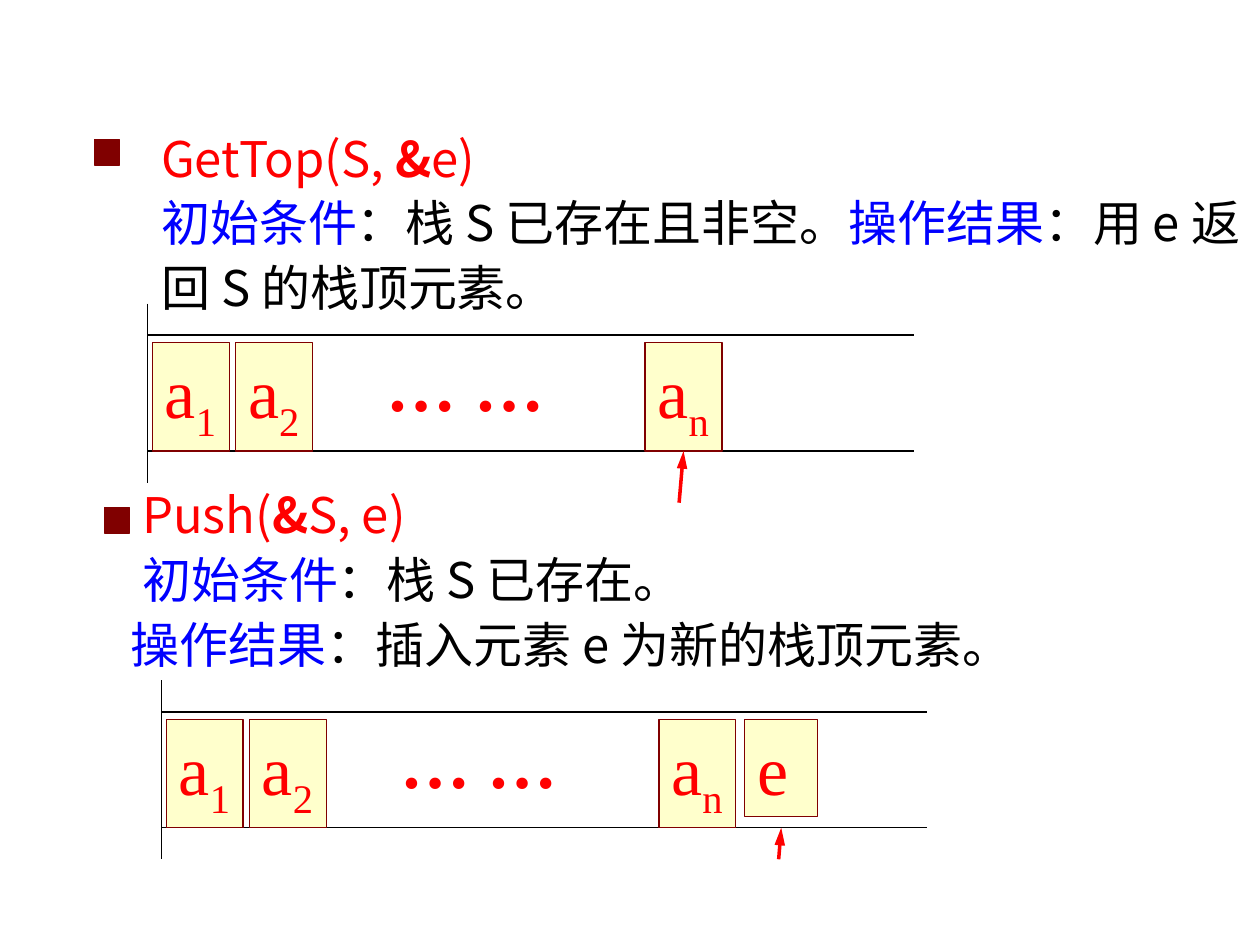
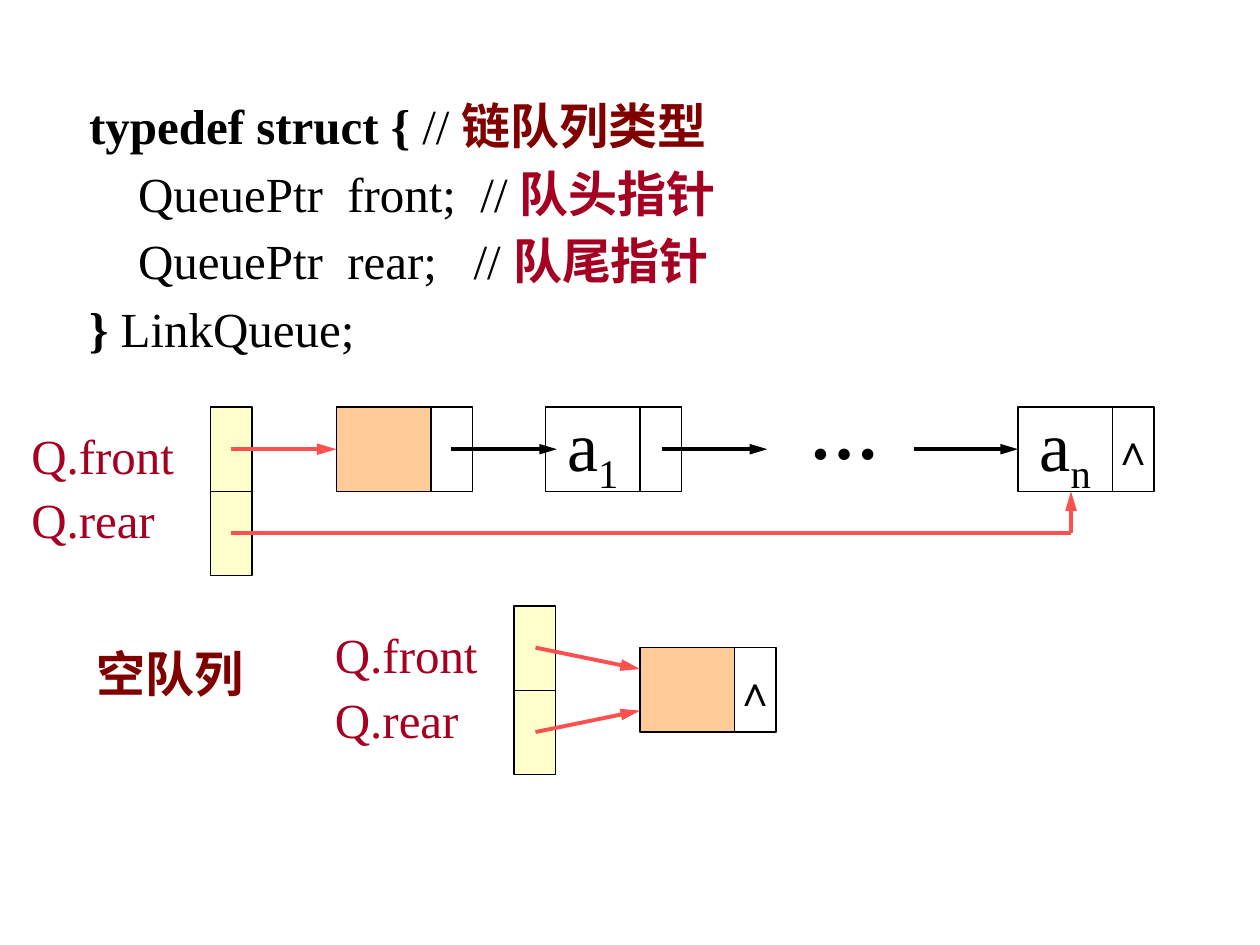
from lxml import etree
from pptx import Presentation
from pptx.dml.color import RGBColor
from pptx.enum.shapes import MSO_CONNECTOR, MSO_SHAPE
from pptx.enum.text import MSO_ANCHOR, MSO_AUTO_SIZE, PP_ALIGN
from pptx.oxml.ns import qn
from pptx.util import Inches, Pt

RECT = MSO_SHAPE.RECTANGLE
STRAIGHT = MSO_CONNECTOR.STRAIGHT
TOP, MIDDLE, BOTTOM = MSO_ANCHOR.TOP, MSO_ANCHOR.MIDDLE, MSO_ANCHOR.BOTTOM
LEFT, CENTER = PP_ALIGN.LEFT, PP_ALIGN.CENTER
FIXED, GROW = MSO_AUTO_SIZE.NONE, MSO_AUTO_SIZE.SHAPE_TO_FIT_TEXT
TITLE_ONLY, BLANK = 5, 6

SANS, SERIF = "Noto Sans CJK SC", "Times New Roman"
BLACK, RED, BLUE = "000000", "FF0000", "0000FF"
MAROON, CRIMSON, CORAL = "800000", "A50021", "FF5050"
CREAM, PEACH = "FFFFCC", "FFCC99"

# Link field and data field of a queue node
LINK_WIDTH, DATA_WIDTH, NODE_HEIGHT = 0.33, 0.75, 0.67


def color(value):
    return RGBColor.from_string(value)


def add_span(para, text, hue, size=28, font=SERIF, bold=False, subscript=False):
    span = para.add_run()
    span.text = text
    span.font.name, span.font.size = font, Pt(size)
    span.font.bold, span.font.color.rgb = bold, color(hue)
    properties = span._r.get_or_add_rPr()
    etree.SubElement(properties, qn("a:ea")).set("typeface", SANS)
    if subscript:
        properties.set("baseline", "-25000")


def set_frame(shape, anchor=TOP, wrap=False, fit=GROW):
    frame = shape.text_frame
    frame.word_wrap, frame.auto_size = wrap, fit
    frame.vertical_anchor = anchor
    return frame


def add_lines(frame, lines, spacing=1.0, **style):
    """Write one paragraph per line; a line is a list of (text, hue, bold)."""
    for index, line in enumerate(lines):
        para = frame.add_paragraph() if index else frame.paragraphs[0]
        para.alignment, para.line_spacing = LEFT, spacing
        for text, hue, bold in line:
            add_span(para, text, hue, bold=bold, **style)


def add_label(page, left, top, width, height, lines, spacing=1.0, wrap=False, **style):
    box = page.shapes.add_textbox(*map(Inches, (left, top, width, height)))
    add_lines(set_frame(box, wrap=wrap), lines, spacing, **style)


def add_box(page, left, top, width, height, fill=None, line=BLACK):
    box = page.shapes.add_shape(RECT, *map(Inches, (left, top, width, height)))
    box.shadow.inherit = False
    if fill:
        box.fill.solid()
        box.fill.fore_color.rgb = color(fill)
    else:
        box.fill.background()
    box.line.color.rgb, box.line.width = color(line), Pt(0.75)
    return box


def add_line(page, start, end, hue=BLACK, width=0.75, arrow=False, target=None):
    """Draw a line; target is a (shape, side) to join its end to."""
    line = page.shapes.add_connector(STRAIGHT, *map(Inches, (*start, *end)))
    if target:
        line.end_connect(*target)
    line.line.color.rgb, line.line.width = color(hue), Pt(width)
    if arrow:
        head = etree.SubElement(line.line._get_or_add_ln(), qn("a:tailEnd"))
        head.set("type", "triangle")
        head.set("len", "lg")
    etree.SubElement(line._element.spPr, qn("a:effectLst"))


def write_symbol(shape, letter, index="", hue=BLACK, size=40, centered=False):
    """Write a letter with an optional subscript into a cell."""
    frame = set_frame(shape, MIDDLE, fit=FIXED) if centered else set_frame(shape)
    para = frame.paragraphs[0]
    para.alignment = CENTER if centered else LEFT
    add_span(para, letter, hue, size)
    if index:
        add_span(para, index, hue, size, subscript=True)


# Stack slide
def add_stack(page, left, top):
    """Draw the open-ended stack and return its last cell."""
    add_line(page, (left, top), (left, top + 1.42))
    for rail in (0.25, 1.17):
        add_line(page, (left, top + rail), (left + 6.08, top + rail))
    for offset, index in ((0.04, "1"), (0.7, "2"), (3.95, "n")):
        cell = add_box(page, left + offset, top + 0.31, 0.61, 0.86, CREAM, MAROON)
        write_symbol(cell, "a", index, RED)
    add_label(page, left + 1.8, top + 0.25, 1.45, 0.77, [[("… …", RED, True)]], size=40)
    return cell


def add_bullet(page, left, top):
    add_box(page, left, top, 0.2, 0.2, MAROON, MAROON)


def add_get_top(page, left, top):
    title = page.shapes.title
    title.left, title.top = Inches(left), Inches(top)
    title.width, title.height = Inches(8.82), Inches(1.34)
    frame = set_frame(title, MIDDLE, wrap=True, fit=FIXED)
    para = frame.paragraphs[0]
    para.alignment, para.line_spacing = LEFT, 1.1
    add_span(para, "GetTop(S, ", RED, font=SANS)
    add_span(para, "&", RED, font=SANS, bold=True)
    add_span(para, "e)", RED, font=SANS)
    para.add_line_break()
    for text, hue in (("初始条件", BLUE), ("：栈 S 已存在且非空。", BLACK),
                      ("操作结果", BLUE), ("：用 e 返回 S 的栈顶元素。", BLACK)):
        add_span(para, text, hue, font=SANS)
    add_bullet(page, left - 0.43, top + 0.04)
    last = add_stack(page, left - 0.01, top + 1.34)
    add_line(page, (left + 4.21, top + 2.92), (left + 4.24, top + 2.51),
             RED, 2, True, (last, 2))


def add_push(page, left, top):
    box = page.shapes.add_textbox(*map(Inches, (left, top, 8.15, 1.65)))
    frame = set_frame(box, BOTTOM, wrap=True, fit=FIXED)
    add_lines(frame, [
        [("Push(", RED, False), ("&", RED, True), ("S, e)", RED, False)],
        [("初始条件", BLUE, False), ("：栈 S 已存在。", BLACK, False)],
        [("操作结果", BLUE, False), ("：插入元素 e 为新的栈顶元素。", BLACK, False)],
    ], 1.1, font=SANS)
    for para in frame.paragraphs[:2]:
        para._p.get_or_add_pPr().set("marL", str(Inches(0.09)))
    stack_left, stack_top = left + 0.34, top + 1.66
    add_stack(page, stack_left, stack_top)
    pushed = add_box(page, stack_left + 4.63, stack_top + 0.31, 0.58, 0.77, CREAM, MAROON)
    write_symbol(pushed, "e", hue=RED)
    add_line(page, (stack_left + 4.9, stack_top + 1.42),
             (stack_left + 4.92, stack_top + 1.17), RED, 2, True)
    add_bullet(page, left - 0.11, top + 0.29)


def build_stack_slide(deck):
    page = deck.slides.add_slide(deck.slide_layouts[TITLE_ONLY])
    add_get_top(page, 1.18, 1.07)
    add_push(page, 0.94, 3.74)


# Linked queue slide
def add_node(page, left, top, index="", fill=None, last=False):
    """Draw a data cell with its link cell and return the data cell."""
    link = add_box(page, left + DATA_WIDTH, top, LINK_WIDTH, NODE_HEIGHT)
    data = add_box(page, left, top, DATA_WIDTH, NODE_HEIGHT, fill)
    if index:
        write_symbol(data, "a", index, centered=True)
    if last:
        write_symbol(link, "∧", size=24, centered=True)
    return data


def add_pointers(page, left, top):
    """Draw the front and rear pointers with their names."""
    for row in range(2):
        add_box(page, left, top + row * NODE_HEIGHT, LINK_WIDTH, NODE_HEIGHT, CREAM)
    names = [[("Q.front", CRIMSON, False)], [("Q.rear", CRIMSON, False)]]
    add_label(page, left - 1.52, top + 0.05, 1.33, 1.13, names, 1.1)


def add_type_code(page, left, top):
    add_label(page, left, top, 5.6, 2.25, [
        [("typedef struct { ", BLACK, True), ("// ", BLACK, False),
         ("链队列类型", MAROON, True)],
        [("    QueuePtr  front;  // ", BLACK, False), ("队头指针", CRIMSON, True)],
        [("    QueuePtr  rear;   // ", BLACK, False), ("队尾指针", CRIMSON, True)],
        [("}", BLACK, True), (" LinkQueue;", BLACK, False)],
    ], 1.15, wrap=True)


def add_filled_queue(page, left, top):
    add_pointers(page, left, top)
    head = add_node(page, left + 1, top, fill=PEACH)
    add_node(page, left + 2.66, top, "1")
    tail = add_node(page, left + 6.41, top, "n", last=True)
    middle = top + NODE_HEIGHT / 2
    for start, hue, width, target in ((0.16, CORAL, 2.25, (head, 1)),
                                      (1.91, BLACK, 2, None),
                                      (3.58, BLACK, 2, None),
                                      (5.58, BLACK, 2, (tail, 1))):
        add_line(page, (left + start, middle), (left + start + 0.84, middle),
                 hue, width, True, target)
    add_label(page, left + 4.66, top - 0.19, 0.92, 0.77, [[("…", BLACK, True)]],
              wrap=True, size=40)
    # Rear pointer runs below the nodes and up to the last one
    corner = (left + 6.83, top + 1)
    add_line(page, (left + 0.16, top + 1), corner, CORAL, 2.25)
    add_line(page, corner, (corner[0], top + NODE_HEIGHT), CORAL, 2.25, True)


def add_empty_queue(page, left, top):
    add_pointers(page, left, top)
    add_node(page, left + 1, top + 0.33, fill=PEACH, last=True)
    for start, end in ((0.33, 0.5), (1, 0.83)):
        add_line(page, (left + 0.17, top + start), (left + 1, top + end),
                 CORAL, 2.25, True)
    add_label(page, left - 3.41, top + 0.25, 1.98, 0.57,
              [[("空队列", MAROON, True)]], wrap=True)


def build_queue_slide(deck):
    page = deck.slides.add_slide(deck.slide_layouts[BLANK])
    add_type_code(page, 0.61, 0.64)
    add_filled_queue(page, 1.67, 3.23)
    add_empty_queue(page, 4.08, 4.81)


def main():
    deck = Presentation()
    deck.slide_width, deck.slide_height = Inches(10), Inches(7.5)
    build_stack_slide(deck)
    build_queue_slide(deck)
    deck.save("out.pptx")


if __name__ == "__main__":
    main()
